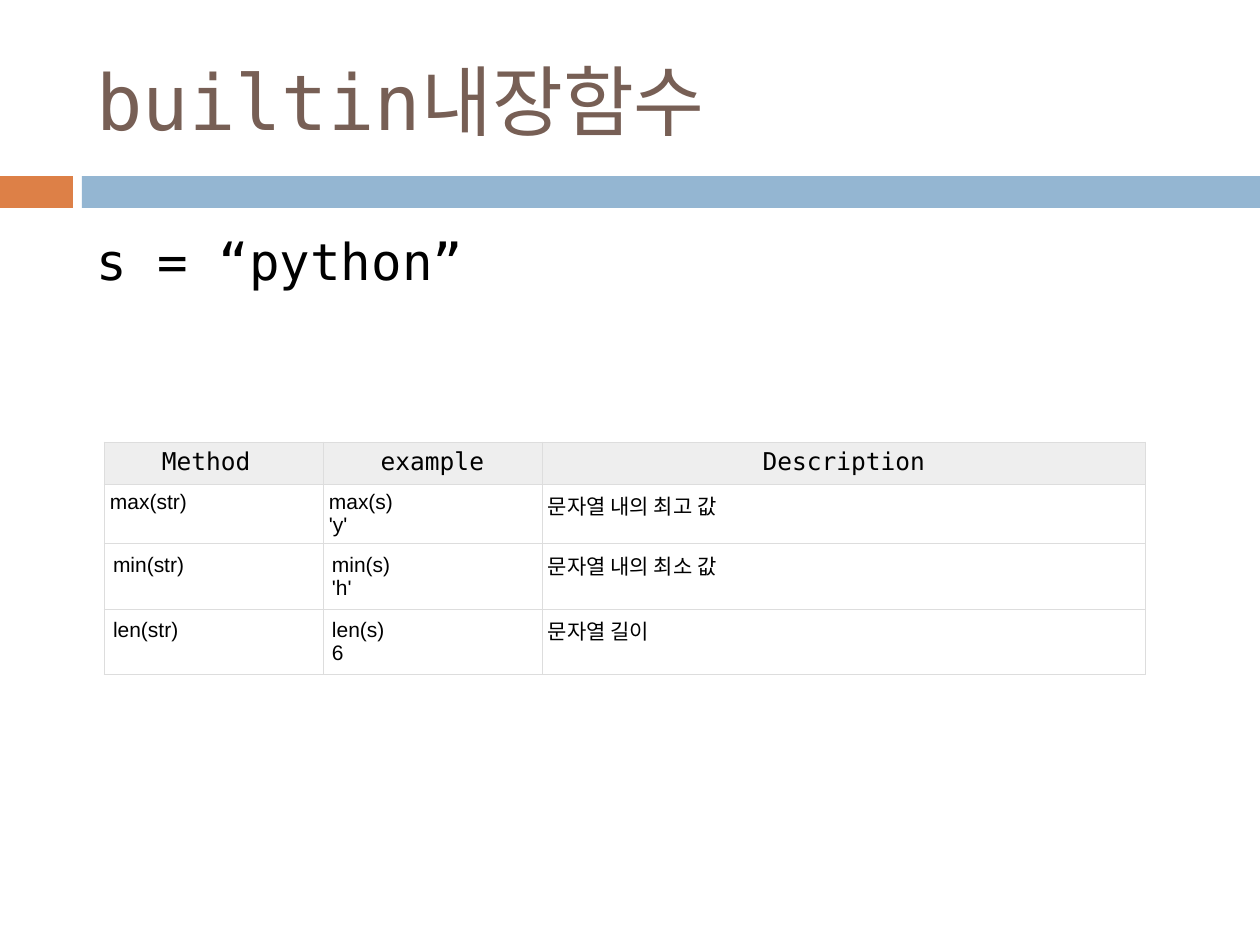
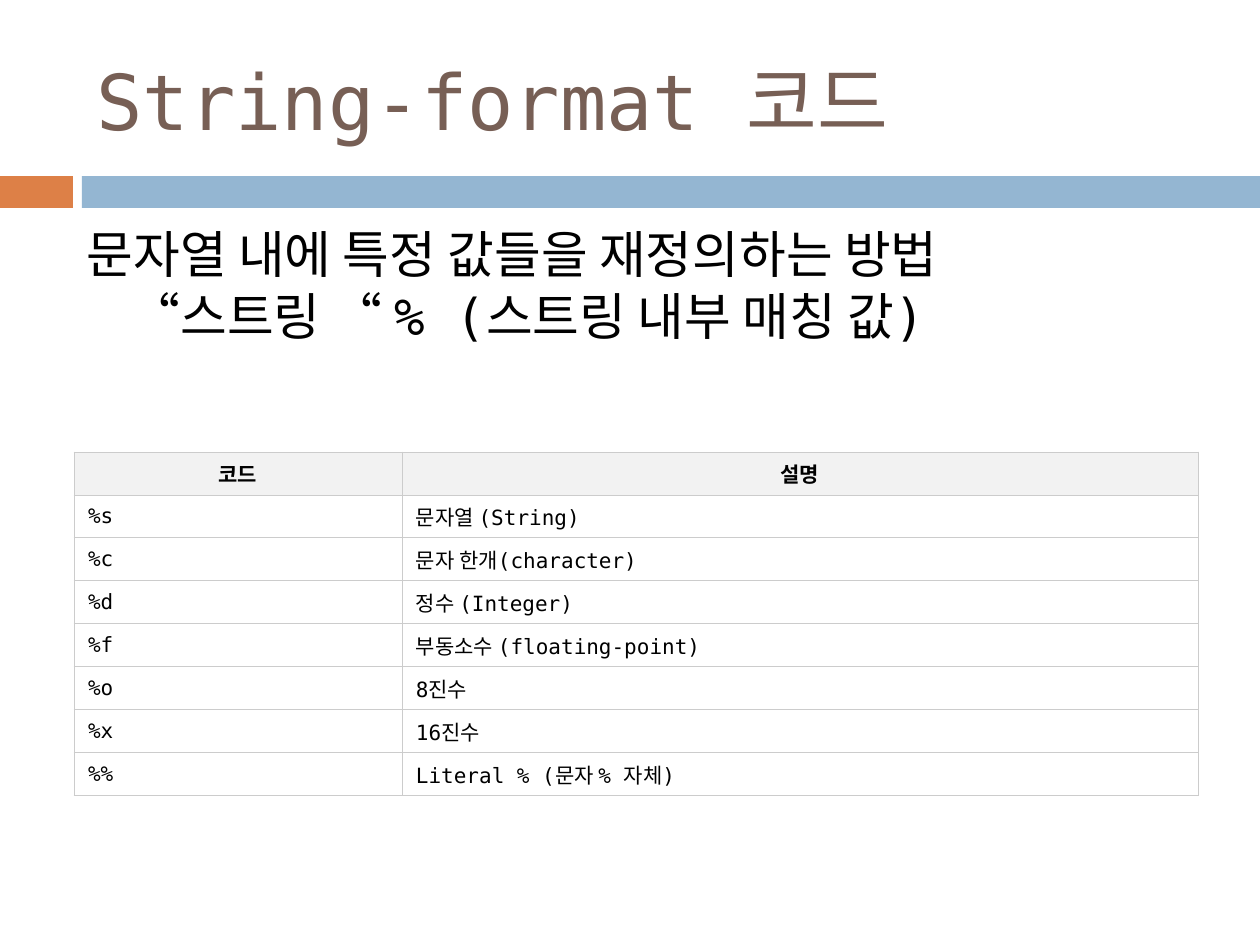
from dataclasses import dataclass

from lxml.etree import SubElement
from pptx import Presentation
from pptx.dml.color import RGBColor
from pptx.enum.shapes import MSO_SHAPE
from pptx.enum.text import MSO_ANCHOR, MSO_AUTO_SIZE, PP_ALIGN
from pptx.oxml import parse_xml
from pptx.oxml.ns import nsdecls, qn
from pptx.util import Emu, Pt


@dataclass(frozen=True)
class Theme:
    """Colours, fonts and type sizes shared by the slides."""
    title: str = "775F55"
    text: str = "000000"
    accent: str = "DD8047"
    band: str = "94B6D2"
    mono: str = "DejaVu Sans Mono"
    sans: str = "Arial"
    title_size: int = 44
    body_size: int = 29
    head_size: int = 14
    cell_size: int = 12


THEME = Theme()
EMU_PER_PX = 914400 / 126
BORDER_PT = 0.6


def px(value):
    """Turn pixels into EMU."""
    return Emu(round(value * EMU_PER_PX))


def place(s, left, top, width, height):
    """Move and size a shape, in px."""
    s.left, s.top, s.width, s.height = map(px, (left, top, width, height))


def write(tf, text, size=THEME.cell_size, font=THEME.mono, color=THEME.text,
          bold=False, align=PP_ALIGN.LEFT, indents=(), line_spacing=1, before=0):
    """Fill a text frame with one paragraph per line of text."""
    tf.word_wrap = True
    for i, line in enumerate(text.split("\n")):
        p = tf.paragraphs[0] if i == 0 else tf.add_paragraph()
        pPr = p._p.get_or_add_pPr()
        pPr.set("marL", str(px(indents[i] if indents else 0)))
        pPr.set("indent", "0")
        SubElement(pPr, qn("a:buNone"))
        p.alignment = align
        p.line_spacing = line_spacing
        p.space_before = Pt(before if i else 0)
        r = p.add_run()
        r.text = line
        r.font.size, r.font.name, r.font.bold = Pt(size), font, bold
        r.font.color.rgb = RGBColor.from_string(color)


def add_band(slide, color, *box):
    """Draw a plain filled rectangle."""
    s = slide.shapes.add_shape(MSO_SHAPE.RECTANGLE, *map(px, box))
    s.shadow.inherit = False
    s.fill.solid()
    s.fill.fore_color.rgb = RGBColor.from_string(color)
    s.line.fill.background()


def add_slide(prs, title):
    """Add a slide with its bands and title."""
    slide = prs.slides.add_slide(prs.slide_layouts[1])
    add_band(slide, THEME.accent, 0, 176, 73, 32)
    add_band(slide, THEME.band, 82, 176, 1178, 32)
    s = slide.shapes.title
    place(s, 84, 32, 1124, 136)
    s.text_frame.auto_size = MSO_AUTO_SIZE.NONE
    s.text_frame.vertical_anchor = MSO_ANCHOR.MIDDLE
    write(s.text_frame, title, size=THEME.title_size, color=THEME.title)
    return slide


def fill_body(slide, text, box, inset_top=6, **text_format):
    """Place and fill the body placeholder."""
    s = slide.placeholders[1]
    place(s, *box)
    tf = s.text_frame
    tf.auto_size = MSO_AUTO_SIZE.NONE
    tf.vertical_anchor = MSO_ANCHOR.TOP
    tf.margin_top = px(inset_top)
    write(tf, text, size=THEME.body_size, **text_format)


def set_borders(cell, color):
    """Give a cell the same thin line on all four sides."""
    tcPr = cell._tc.get_or_add_tcPr()
    for i, side in enumerate("LRTB"):
        tcPr.insert(i, parse_xml(
            f'<a:ln{side} {nsdecls("a")} w="{Pt(BORDER_PT)}"><a:solidFill>'
            f'<a:srgbClr val="{color}"/></a:solidFill></a:ln{side}>'))


def add_grid(slide, rows, left, top, col_widths, row_heights, border, cell_style):
    """Add a table; cell_style(row, col) gives fill, anchor, insets and text format."""
    table = slide.shapes.add_table(
        len(rows), len(col_widths), px(left), px(top),
        px(sum(col_widths)), px(sum(row_heights))).table
    table.first_row = table.horz_banding = False
    for column, width in zip(table.columns, col_widths):
        column.width = px(width)
    for i, (row, height) in enumerate(zip(rows, row_heights)):
        table.rows[i].height = px(height)
        for j, text in enumerate(row):
            cell = table.cell(i, j)
            fill, anchor, (inset_x, inset_y), text_format = cell_style(i, j)
            cell.vertical_anchor = anchor
            cell.margin_left = cell.margin_right = px(inset_x)
            cell.margin_top = cell.margin_bottom = px(inset_y)
            if fill:
                cell.fill.solid()
                cell.fill.fore_color.rgb = RGBColor.from_string(fill)
            else:
                cell.fill.background()
            set_borders(cell, border)
            write(cell.text_frame, text, **text_format)


def method_style(row, col):
    """Style the cells of the built-in function table."""
    if row == 0:
        return "EEEEEE", MSO_ANCHOR.TOP, (6, 6), dict(
            size=THEME.head_size, align=PP_ALIGN.CENTER)
    is_code = col < 2
    inset = 9 if is_code and row > 1 else 6
    return None, MSO_ANCHOR.TOP, (inset, inset), dict(
        font=THEME.sans if is_code else THEME.mono)


def code_style(row, col):
    """Style the cells of the format code table."""
    text_format = dict(bold=True, align=PP_ALIGN.CENTER) if row == 0 else {}
    return ("FFFFFF" if row else "F2F2F2"), MSO_ANCHOR.MIDDLE, (14, 6), text_format


def add_builtin_slide(prs):
    """Build the slide on built-in functions."""
    slide = add_slide(prs, "builtin내장함수")
    fill_body(slide, "s = “python”", (84, 220, 1124, 142), inset_top=10)
    rows = [
        ("Method ", "example", "Description"),
        ("max(str)", "max(s)\n'y'", "문자열 내의 최고 값"),
        ("min(str)", "min(s)\n'h'", "문자열 내의 최소 값"),
        ("len(str)", "len(s)\n6", "문자열 길이"),
    ]
    add_grid(slide, rows, 104, 442, (219, 219, 604), (42, 60, 63, 64),
             "DDDDDD", method_style)


def add_format_slide(prs):
    """Build the slide on string format codes."""
    slide = add_slide(prs, "String-format 코드")
    fill_body(slide, "문자열 내에 특정 값들을 재정의하는 방법\n“스트링 “ % (스트링 내부 매칭 값)",
              (63, 224, 1134, 218), indents=(11, 54), line_spacing=0.9, before=4)
    rows = [
        ("코드", "설명"),
        ("%s", "문자열 (String)"),
        ("%c", "문자 한개(character)"),
        ("%d", "정수 (Integer)"),
        ("%f", "부동소수 (floating-point)"),
        ("%o", "8진수"),
        ("%x", "16진수"),
        ("%%", "Literal % (문자 % 자체)"),
    ]
    add_grid(slide, rows, 74, 452, (328, 796), [43] * len(rows),
             "CCCCCC", code_style)


def main():
    """Build and save the presentation."""
    prs = Presentation()
    prs.slide_width, prs.slide_height = px(1260), px(945)
    add_builtin_slide(prs)
    add_format_slide(prs)
    prs.save("out.pptx")


if __name__ == "__main__":
    main()
